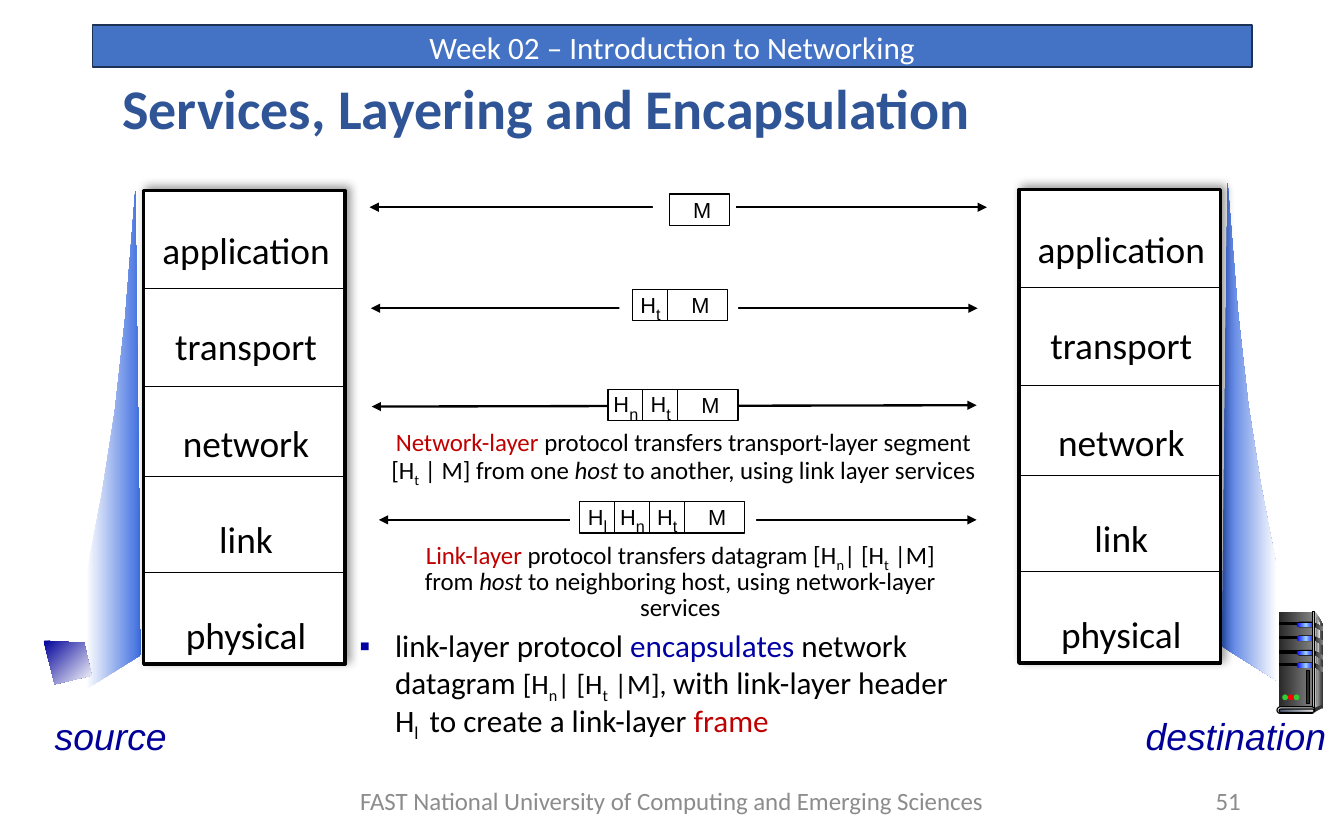
import lxml.etree
import pptx
import pptx.dml.color
import pptx.enum.shapes
import pptx.enum.text
import pptx.oxml.ns
import pptx.util

Cm = pptx.util.Cm
Pt = pptx.util.Pt
RGBColor = pptx.dml.color.RGBColor
SHAPE = pptx.enum.shapes.MSO_SHAPE
ALIGN = pptx.enum.text.PP_ALIGN
ANCHOR = pptx.enum.text.MSO_ANCHOR
qn = pptx.oxml.ns.qn

BLACK = RGBColor(0x00, 0x00, 0x00)
WHITE = RGBColor(0xFF, 0xFF, 0xFF)
BAR_BLUE = RGBColor(0x44, 0x72, 0xC4)
BAR_EDGE = RGBColor(0x1E, 0x32, 0x56)
TITLE_BLUE = RGBColor(0x2F, 0x55, 0x97)
FOOTER_GRAY = RGBColor(0x8C, 0x8C, 0x8C)
NAVY = RGBColor(0x00, 0x00, 0x99)
TERM_BLUE = RGBColor(0x00, 0x00, 0xA3)
TERM_RED = RGBColor(0xC0, 0x00, 0x00)
BEAM_BLUE = RGBColor(0x3C, 0x6C, 0xDF)
CHARCOAL = RGBColor(0x29, 0x29, 0x29)
DARK_GRAY = RGBColor(0x33, 0x33, 0x33)
MID_GRAY = RGBColor(0x80, 0x80, 0x80)
LIGHT_GRAY = RGBColor(0xDD, 0xDD, 0xDD)
PALE_GRAY = RGBColor(0xF8, 0xF8, 0xF8)
SLATE = RGBColor(0x44, 0x54, 0x6A)
SILVER = RGBColor(0xE7, 0xE6, 0xE6)
DRIVE_BLUE = RGBColor(0x00, 0x00, 0xFF)
SKY = RGBColor(0x99, 0xCC, 0xFF)
GREEN = RGBColor(0x33, 0xCC, 0x33)
RED = RGBColor(0xFF, 0x00, 0x00)

SUB = {"sub": True}
LAYERS = ["application", "transport", "network", "link", "physical"]


def child(parent, tag, **attributes):
    return lxml.etree.SubElement(parent, qn(tag), attributes)


def write(para, text, size=16, font="Calibri", color=BLACK, bold=False, italic=False, sub=False):
    span = para.add_run()
    span.text = text
    span.font.size, span.font.name = Pt(size), font
    span.font.bold, span.font.italic = bold, italic
    span.font.color.rgb = color
    if sub:
        span.font._element.set("baseline", "-25000")


def curve(start, first, second, end, steps=4):
    """Points of a cubic Bezier curve after its start."""
    points = []
    for step in range(1, steps + 1):
        t = step / steps
        weights = ((1 - t) ** 3, 3 * t * (1 - t) ** 2, 3 * t * t * (1 - t), t ** 3)
        points.append(tuple(sum(w * p[axis] for w, p in zip(weights, (start, first, second, end)))
                            for axis in (0, 1)))
    return points


class Painter:
    """Holds the current page and draws on it; all places are in centimetres."""

    def __init__(self, page):
        self.page = page

    def paint(self, shape, fill, line=None, angle=0):
        """Fill with a colour, or with a gradient when given a list of colours."""
        shape.shadow.inherit = False
        if isinstance(fill, list):
            shape.fill.gradient()
            shape.fill.gradient_angle = (360 - angle) % 360
            stops = shape._element.spPr.find(qn("a:gradFill")).find(qn("a:gsLst"))
            for stop in list(stops):
                stops.remove(stop)
            for index, color in enumerate(fill):
                stop = child(stops, "a:gs", pos=str(100000 * index // (len(fill) - 1)))
                child(stop, "a:srgbClr", val=str(color))
        else:
            shape.fill.solid()
            shape.fill.fore_color.rgb = fill
        if line:
            shape.line.color.rgb, shape.line.width = line[0], Pt(line[1])
        else:
            shape.line.fill.background()
        return shape

    def shape(self, place, fill, line=None, kind=SHAPE.RECTANGLE):
        shape = self.page.shapes.add_shape(kind, *map(Cm, place))
        if kind == SHAPE.ROUNDED_RECTANGLE:
            shape.adjustments[0] = 0.5
        return self.paint(shape, fill, line)

    def outline(self, points, fill, angle=0):
        corners = [(Cm(x), Cm(y)) for x, y in points]
        builder = self.page.shapes.build_freeform(*corners[0], scale=1.0)
        builder.add_line_segments(corners[1:], close=True)
        return self.paint(builder.convert_to_shape(), fill, angle=angle)

    def line(self, x1, y1, x2, y2, width, arrows=False):
        line = self.page.shapes.add_connector(
            pptx.enum.shapes.MSO_CONNECTOR.STRAIGHT, Cm(x1), Cm(y1), Cm(x2), Cm(y2))
        line.line.color.rgb, line.line.width = BLACK, Pt(width)
        properties = line._element.spPr
        if arrows:
            for end in ("a:headEnd", "a:tailEnd"):
                child(properties.find(qn("a:ln")), end, type="triangle")
        child(properties, "a:effectLst")

    def text(self, place, *lines, align=ALIGN.LEFT, anchor=ANCHOR.TOP, wrap=True,
             spacing=None, bullet=None, inset=0.25, **style):
        """Each line is a list of (text, format changes)."""
        frame = self.page.shapes.add_textbox(*map(Cm, place)).text_frame
        frame.word_wrap, frame.vertical_anchor = wrap, anchor
        frame.margin_left = frame.margin_right = Cm(inset)
        for index, spans in enumerate(lines):
            para = frame.add_paragraph() if index else frame.paragraphs[0]
            if bullet:
                properties = para._p.get_or_add_pPr()
                properties.set("marL", str(Cm(0.81)))
                properties.set("indent", str(Cm(-0.81)))
                child(child(properties, "a:buClr"), "a:srgbClr", val=str(TERM_BLUE))
                child(properties, "a:buFont", typeface="Arial")
                child(properties, "a:buChar", char=bullet)
            para.alignment = align
            if spacing:
                para.line_spacing = spacing
            for text, changes in spans:
                write(para, text, **{**style, **changes})

    def beam(self, outer, top, side):
        """Fading wedge from a host at x = outer to a tower; side is 1 when the tower is right."""
        start, *bends = [(outer + side * dx, top + dy) for dx, dy in
                         ((1.12, 0), (0.8, 4.55), (0.56, 5.94), (0, 8.76))]
        points = [(outer, top + 11.3), (outer + side * 1.25, top + 10.52), start]
        self.outline(points + curve(start, *bends), [WHITE, BEAM_BLUE][::side])

    def tower(self, left, top):
        box = self.shape((left, top, 4.57, 10.74), WHITE, (BLACK, 2.25))
        effects = box._element.spPr.find(qn("a:effectLst"))
        shadow = child(effects, "a:outerShdw", blurRad=str(Pt(6)), dist=str(Pt(3)),
                       dir="18900000", algn="ctr", rotWithShape="0")
        child(child(shadow, "a:srgbClr", val=str(BLACK)), "a:alpha", val="40000")
        self.text((left - 0.13, top - 0.46, 4.9, 11.2), *[[(name, {})] for name in LAYERS],
                  align=ALIGN.CENTER, spacing=2.15, size=24)
        for offset in (2.22, 4.45, 6.49, 8.66):
            self.line(left - 0.04, top + offset, left + 4.56, top + offset, 0.5)

    def message(self, arrow, gap, right, top, headers):
        """Arrow broken by a white gap, holding headers and M in cells that end at right."""
        self.line(*arrow, 1.5, arrows=True)
        self.shape(gap, WHITE)
        left = right - 1.37 - 0.79 * len(headers)
        self.shape((left, top, right - left, 0.71), WHITE, (BLACK, 0.75))
        style = dict(align=ALIGN.CENTER, anchor=ANCHOR.MIDDLE, wrap=False, inset=0,
                     size=14, font="Arial")
        for index, letter in enumerate(headers):
            cell = left + 0.79 * index
            self.text((cell, top - 0.07, 0.81, 0.81),
                      [("H", {}), (letter, {"size": 18, **SUB})], **style)
            self.line(cell + 0.79, top, cell + 0.79, top + 0.71, 0.75)
        self.text((right - 1.31, top - 0.07, 1.37, 0.84), [("M", {})], **style)

    def server(self):
        edge = (BLACK, 0.75)
        pill, oval = SHAPE.ROUNDED_RECTANGLE, SHAPE.OVAL
        self.outline([(29.82, 13.87), (30, 14.15), (30, 15.98), (29.79, 16.08)],
                     [LIGHT_GRAY, DARK_GRAY])
        self.shape((29.01, 13.87, 0.76, 2.21), [CHARCOAL, MID_GRAY])
        self.outline([(29.85, 14), (29.95, 14.17), (29.87, 15.1), (29.85, 16)],
                     [MID_GRAY, PALE_GRAY])
        for y in (14.12, 14.43, 14.76, 15.04):
            self.outline([(29.8, y), (30, y + 0.1), (30, y + 0.2), (29.8, y + 0.08)],
                         [CHARCOAL, MID_GRAY])
            self.shape((29.02, y, 0.43, 0.05), BLACK, edge)
            self.shape((29.41, y - 0.02, 0.43, 0.13), BLACK, kind=pill)
            self.shape((29.41, y, 0.41, 0.1), [DRIVE_BLUE, SKY, DRIVE_BLUE], kind=pill)
        self.shape((29.77, 13.87, 0.05, 2.21), [DARK_GRAY, LIGHT_GRAY, DARK_GRAY], edge)
        self.shape((29.97, 15.98, 0.03, 0.1), DARK_GRAY, kind=oval)
        self.outline([(29.82, 16.05), (29.82, 16.15), (30, 16.05), (30, 15.98)], DARK_GRAY)
        self.shape((28.96, 16.03, 0.86, 0.15), LIGHT_GRAY, edge, pill)
        self.shape((29.01, 16.08, 0.79, 0.08), [SLATE, SILVER], edge, pill)
        for index, color in enumerate((GREEN, RED, GREEN)):
            self.shape((29.08 + 0.13 * index, 15.75, 0.13, 0.13), color, kind=oval)
        self.shape((29.64, 15.21, 0.05, 0.74), CHARCOAL, edge)


def main():
    deck = pptx.Presentation()
    deck.slide_width, deck.slide_height = Cm(30.48), Cm(19.05)
    painter = Painter(deck.slides.add_slide(deck.slide_layouts[6]))
    center, middle = ALIGN.CENTER, ANCHOR.MIDDLE

    painter.shape((2.1, 0.57, 26.29, 0.95), BAR_BLUE, (BAR_EDGE, 1))
    painter.text((2.1, 0.56, 26.29, 1.02), [("Week 02 – Introduction to Networking", {})],
                 align=center, anchor=middle, size=20, color=WHITE)
    painter.text((2.52, 1.71, 29.21, 2.49), [("Services, Layering and Encapsulation", {})],
                 spacing=0.9, size=36, color=TITLE_BLUE, bold=True)
    painter.text((7.4, 17.65, 15.67, 1.02),
                 [("FAST National University of Computing and Emerging Sciences", {})],
                 align=center, anchor=middle, color=FOOTER_GRAY)
    painter.text((23.72, 17.65, 4.67, 1.02), [("51", {})],
                 align=ALIGN.RIGHT, anchor=middle, color=FOOTER_GRAY)

    painter.beam(28.96, 4.14, -1)
    painter.beam(1.95, 4.33, 1)
    painter.outline([(0.99, 14.53), (1.91, 14.58), (2.08, 15.32), (1.24, 15.52)],
                    [NAVY, WHITE], angle=45)
    painter.server()
    for name, left, width in (("source", 0.99, 3.05), ("destination", 25.73, 4.65)):
        painter.text((left, 16.04, width, 1.27), [(name, {})], wrap=False,
                     size=24, font="Arial", color=NAVY, italic=True)
    painter.tower(3.26, 4.32)
    painter.tower(23.11, 4.3)

    painter.message((8.38, 4.7, 22.38, 4.7), (14.81, 4.17, 1.88, 1.09), 16.55, 4.4, "")
    painter.message((8.41, 6.99, 22.17, 6.99), (14.05, 6.6, 2.69, 1.09), 16.51, 6.57, "t")
    painter.message((8.43, 9.22, 22.15, 9.19), (13.41, 9.25, 3.35, 1.09), 16.74, 8.83, "nt")
    painter.message((8.59, 11.79, 22.15, 11.79), (12.93, 11.23, 4.22, 1.04), 16.89, 11.38, "lnt")

    painter.text((8.59, 9.65, 13.82, 1.42),
                 [("Network-layer ", {"color": TERM_RED}),
                  ("protocol transfers transport-layer segment [H", {}), ("t", SUB),
                  (" | M] from one ", {}), ("host", {"italic": True}),
                  (" to another, using link layer services", {})],
                 align=center, spacing=0.85)
    painter.text((8.89, 12.16, 13.08, 2.01),
                 [("Link-layer ", {"color": TERM_RED}),
                  ("protocol transfers datagram [H", {}), ("n", SUB), ("| [H", {}), ("t", SUB),
                  (" |M] from ", {}), ("host ", {"italic": True}),
                  ("to neighboring host, using network-layer services", {})],
                 align=center, spacing=0.85)
    small = {"size": 18}
    painter.text((7.9, 14.18, 14.53, 2.57),
                 [("link-layer protocol ", {}), ("encapsulates", {"color": TERM_BLUE}),
                  (" network datagram ", {}), ("[H", small), ("n", {**small, **SUB}),
                  ("| [H", small), ("t", {**small, **SUB}), (" |M], ", small),
                  ("with link-layer header H", {}), ("l ", SUB),
                  (" to create a link-layer ", {}), ("frame", {"color": TERM_RED})],
                 spacing=0.9, bullet="▪", size=20)
    deck.save("out.pptx")


if __name__ == "__main__":
    main()
